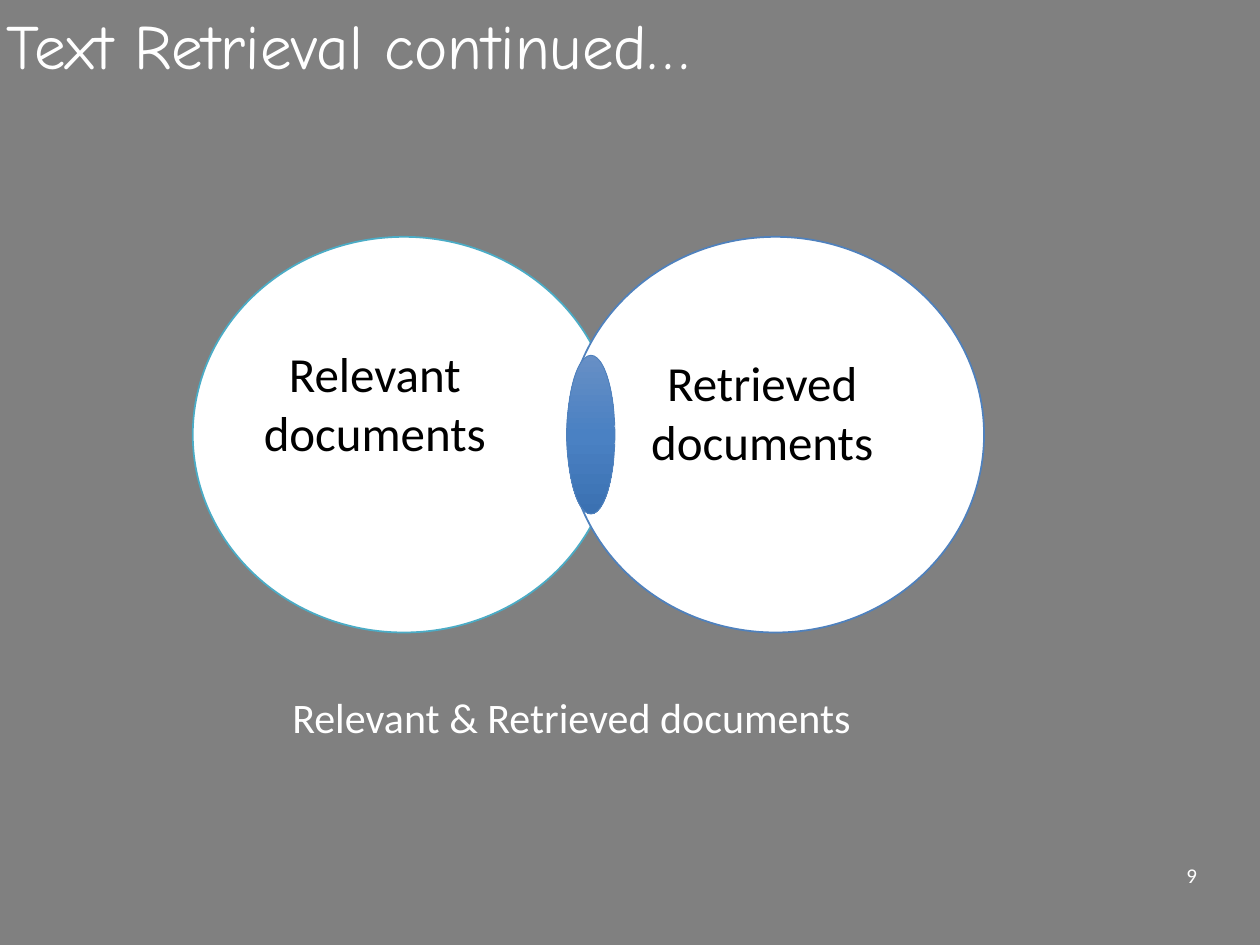
"""Build a slide with a Venn diagram of relevant and retrieved documents."""
from copy import deepcopy
from dataclasses import dataclass

from pptx import Presentation
from pptx.dml.color import RGBColor
from pptx.enum.shapes import MSO_SHAPE as Shape
from pptx.enum.text import MSO_ANCHOR as Anchor, PP_ALIGN as Align
from pptx.oxml.ns import qn
from pptx.util import Inches, Pt

GRAY = RGBColor(0x80, 0x80, 0x80)
WHITE = RGBColor(0xFF, 0xFF, 0xFF)
BLACK = RGBColor(0x00, 0x00, 0x00)
TEAL = RGBColor(0x4B, 0xAC, 0xC6)
BLUE = RGBColor(0x4F, 0x81, 0xBD)
OVERLAP_COLORS = (
    RGBColor(0x67, 0x8F, 0xC5),
    RGBColor(0x4A, 0x81, 0xC3),
    RGBColor(0x3B, 0x71, 0xB2),
)


@dataclass(frozen=True)
class Area:
    left: float
    top: float
    width: float
    height: float

    def lengths(self):
        return [Inches(value) for value in (self.left, self.top, self.width, self.height)]


@dataclass(frozen=True)
class Oval:
    area: Area
    line: RGBColor
    line_width: float = 1


@dataclass(frozen=True)
class Label:
    words: str
    area: Area
    size: int
    color: RGBColor = WHITE
    font: str = "Calibri"
    align: Align = Align.LEFT
    anchor: Anchor = Anchor.TOP
    margin: float = 0.05
    wrap: bool = True


@dataclass(frozen=True)
class DocumentSet:
    oval: Oval
    label: Label


def set_label(words: str, area: Area) -> Label:
    return Label(words, area, 28, BLACK, align=Align.CENTER, anchor=Anchor.MIDDLE, margin=0)


DOCUMENT_SETS = (
    DocumentSet(
        Oval(Area(1.53, 1.88, 3.35, 3.14), TEAL),
        set_label("Relevant documents", Area(1.79, 2.75, 2.37, 0.89)),
    ),
    DocumentSet(
        Oval(Area(4.5, 1.88, 3.31, 3.14), BLUE),
        set_label("Retrieved documents", Area(4.88, 2.82, 2.34, 0.89)),
    ),
)
OVERLAP = Oval(Area(4.5, 2.82, 0.38, 1.26), BLUE, 0.5)
TITLE = Label("Text Retrieval continued…", Area(0, 0, 7.7, 0.84), 36, font="Comic Neue", wrap=False)
CAPTION = Label("Relevant & Retrieved documents", Area(2.27, 5.44, 5.22, 0.49), 24)
PAGE_NUMBER = Label(
    "9", Area(7.17, 6.8, 2.33, 0.29), 12, align=Align.RIGHT, anchor=Anchor.MIDDLE, margin=0
)


def add_label(page, label: Label) -> None:
    box = page.shapes.add_textbox(*label.area.lengths())
    frame = box.text_frame
    frame.word_wrap = label.wrap
    frame.vertical_anchor = label.anchor
    frame.margin_left = frame.margin_right = Inches(label.margin)
    frame.margin_top = frame.margin_bottom = Inches(label.margin)
    para = frame.paragraphs[0]
    para.alignment = label.align
    span = para.add_run()
    span.text = label.words
    span.font.name = label.font
    span.font.size = Pt(label.size)
    span.font.color.rgb = label.color


def add_oval(page, oval: Oval):
    shape = page.shapes.add_shape(Shape.OVAL, *oval.area.lengths())
    shape.shadow.inherit = False
    shape.fill.solid()
    shape.fill.fore_color.rgb = WHITE
    shape.line.color.rgb = oval.line
    shape.line.width = Pt(oval.line_width)
    return shape


def shade_downward(shape, colors: tuple[RGBColor, ...]) -> None:
    shape.fill.gradient()
    shape.fill.gradient_angle = 270
    stop_list = shape._element.spPr.find(qn("a:gradFill")).find(qn("a:gsLst"))
    while len(stop_list) < len(colors):
        stop_list.append(deepcopy(stop_list[0]))
    for index, (stop, color) in enumerate(zip(shape.fill.gradient_stops, colors)):
        stop.position = index / (len(colors) - 1)
        stop.color.rgb = color


def main() -> None:
    deck = Presentation()
    deck.slide_width, deck.slide_height = Inches(10), Inches(7.5)
    page = deck.slides.add_slide(deck.slide_layouts[6])
    page.background.fill.solid()
    page.background.fill.fore_color.rgb = GRAY

    add_label(page, TITLE)
    for document_set in DOCUMENT_SETS:
        add_oval(page, document_set.oval)
        add_label(page, document_set.label)
    shade_downward(add_oval(page, OVERLAP), OVERLAP_COLORS)
    add_label(page, CAPTION)
    add_label(page, PAGE_NUMBER)
    deck.save("out.pptx")


if __name__ == "__main__":
    main()
